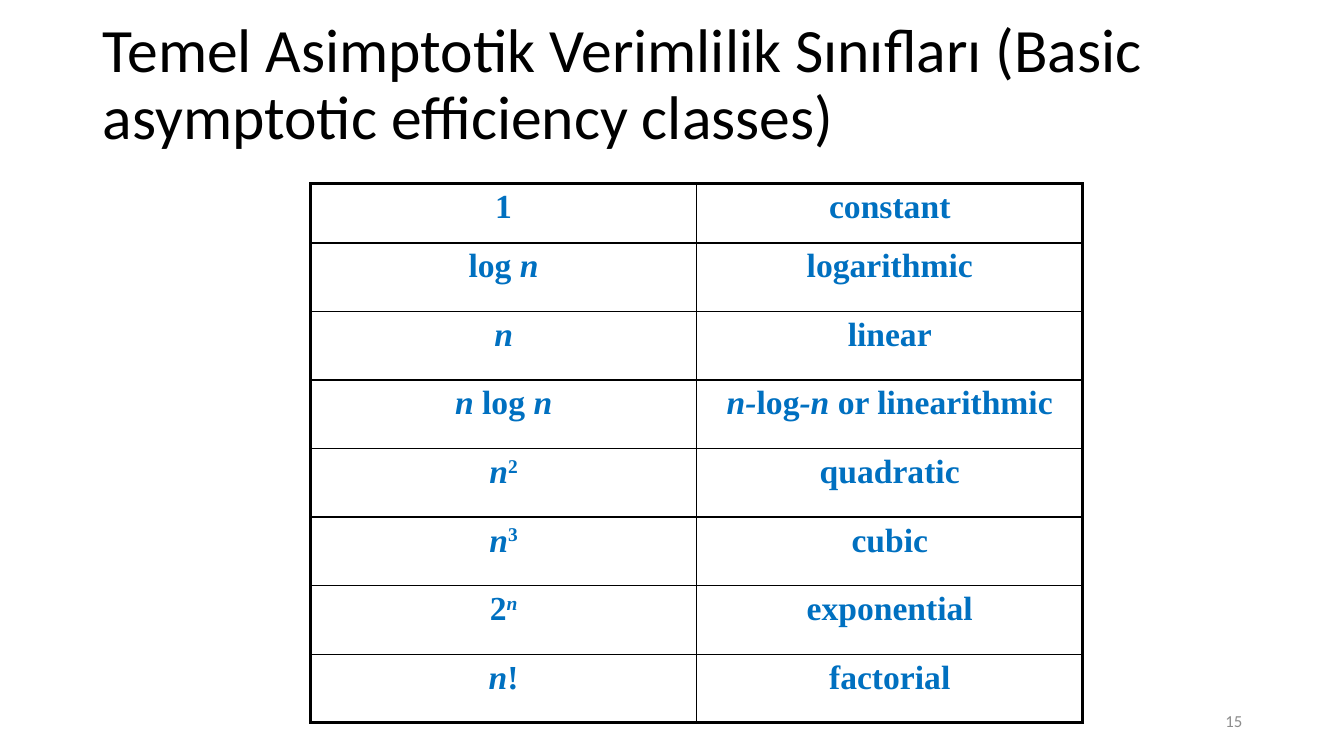
from lxml import etree
from pptx import Presentation
from pptx.dml.color import RGBColor
from pptx.enum.text import MSO_ANCHOR, MSO_AUTO_SIZE, PP_ALIGN
from pptx.oxml.ns import qn
from pptx.util import Pt

LEFT, CENTER, RIGHT = PP_ALIGN.LEFT, PP_ALIGN.CENTER, PP_ALIGN.RIGHT
MIDDLE = MSO_ANCHOR.MIDDLE
NO_AUTOFIT = MSO_AUTO_SIZE.NONE
EMU_PER_PX = 9144  # 100 px to the inch
TITLE_ONLY = 5

COLORS = {"text": "000000", "entry": "0070C0", "number": "8C8C8C", "border": "000000"}
BODY_FONT, TABLE_FONT = "Calibri", "Times New Roman"
OUTER_LINE, INNER_LINE = 2.25, 1

# Each entry is a list of (text, style); "i" is italic, "^" is superscript
EFFICIENCY_CLASSES = [
    ([("1", "")], [("constant", "")]),
    ([("log ", ""), ("n", "i")], [("logarithmic", "")]),
    ([("n", "i")], [("linear", "")]),
    ([("n ", "i"), ("log ", ""), ("n", "i")],
     [("n-", "i"), ("log", ""), ("-n ", "i"), ("or linearithmic", "")]),
    ([("n", "i"), ("2", "^")], [("quadratic", "")]),
    ([("n", "i"), ("3", "^")], [("cubic", "")]),
    ([("2", ""), ("n", "i^")], [("exponential", "")]),
    ([("n", "i"), ("!", "")], [("factorial", "")]),
]


def px(value):
    return value * EMU_PER_PX


class SlideBuilder:
    def __init__(self, presentation):
        layout = presentation.slide_layouts[TITLE_ONLY]
        self.slide = presentation.slides.add_slide(layout)

    def style(self, paragraph, font_name, size, color, align, bold=False):
        paragraph.alignment = align
        font = paragraph.font
        font.name, font.size, font.bold = font_name, Pt(size), bold
        font.color.rgb = RGBColor.from_string(COLORS[color])

    def fill_frame(self, shape, text, size, color, align):
        frame = shape.text_frame
        frame.word_wrap = True
        frame.auto_size = NO_AUTOFIT
        frame.vertical_anchor = MIDDLE
        paragraph = frame.paragraphs[0]
        paragraph.text = text
        self.style(paragraph, BODY_FONT, size, color, align)
        return paragraph

    def title(self, text, left, top, width, height):
        shape = self.slide.shapes.title
        shape.left, shape.top = px(left), px(top)
        shape.width, shape.height = px(width), px(height)
        self.fill_frame(shape, text, 44, "text", LEFT).line_spacing = 0.9

    def text(self, text, left, top, width, height, size, color, align):
        shape = self.slide.shapes.add_textbox(px(left), px(top), px(width), px(height))
        self.fill_frame(shape, text, size, color, align)

    def border(self, cell, side, width):
        properties = cell._tc.get_or_add_tcPr()
        line = etree.SubElement(properties, qn(f"a:ln{side}"), w=str(Pt(width)))
        fill = etree.SubElement(line, qn("a:solidFill"))
        etree.SubElement(fill, qn("a:srgbClr"), val=COLORS["border"])

    def cell(self, cell, runs, outer_sides):
        paragraph = cell.text_frame.paragraphs[0]
        self.style(paragraph, TABLE_FONT, 24, "entry", CENTER, bold=True)
        for text, style in runs:
            run = paragraph.add_run()
            run.text = text
            run.font.italic = "i" in style
            if "^" in style:
                run.font._element.set("baseline", "30000")
        for side in "LRTB":
            self.border(cell, side, OUTER_LINE if side in outer_sides else INNER_LINE)
        cell.fill.background()

    def table(self, rows, left, top, column_width, row_heights):
        column_count = len(rows[0])
        table = self.slide.shapes.add_table(
            len(rows), column_count, px(left), px(top),
            px(column_width * column_count), px(sum(row_heights))).table
        table.first_row = table.horz_banding = False
        for column in table.columns:
            column.width = px(column_width)
        for row_index, entries in enumerate(rows):
            table.rows[row_index].height = px(row_heights[row_index])
            for column_index, runs in enumerate(entries):
                edges = {"L": column_index == 0, "R": column_index == column_count - 1,
                         "T": row_index == 0, "B": row_index == len(rows) - 1}
                outer_sides = [side for side, is_outer in edges.items() if is_outer]
                self.cell(table.cell(row_index, column_index), runs, outer_sides)


def main():
    presentation = Presentation()
    presentation.slide_width, presentation.slide_height = px(1333), px(750)
    builder = SlideBuilder(presentation)

    # Slide number and title
    builder.text("15", 942, 695, 300, 40, 12, "number", RIGHT)
    builder.title("Temel Asimptotik Verimlilik Sınıfları (Basic asymptotic efficiency classes)",
                  92, 13, 1150, 145)

    # Efficiency classes: a shorter first row, then equal rows
    row_heights = [59] + [68] * (len(EFFICIENCY_CLASSES) - 1)
    builder.table(EFFICIENCY_CLASSES, 308, 182, 383, row_heights)

    presentation.save("out.pptx")


if __name__ == "__main__":
    main()
